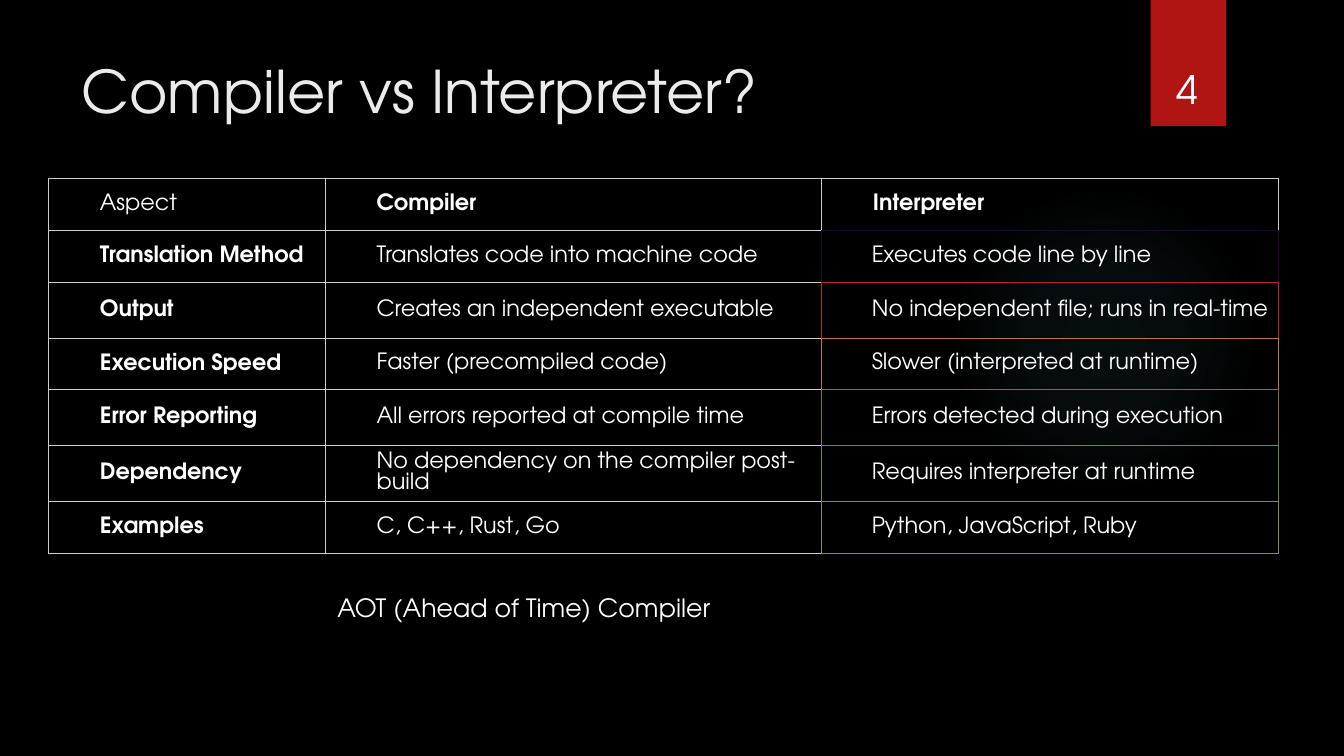
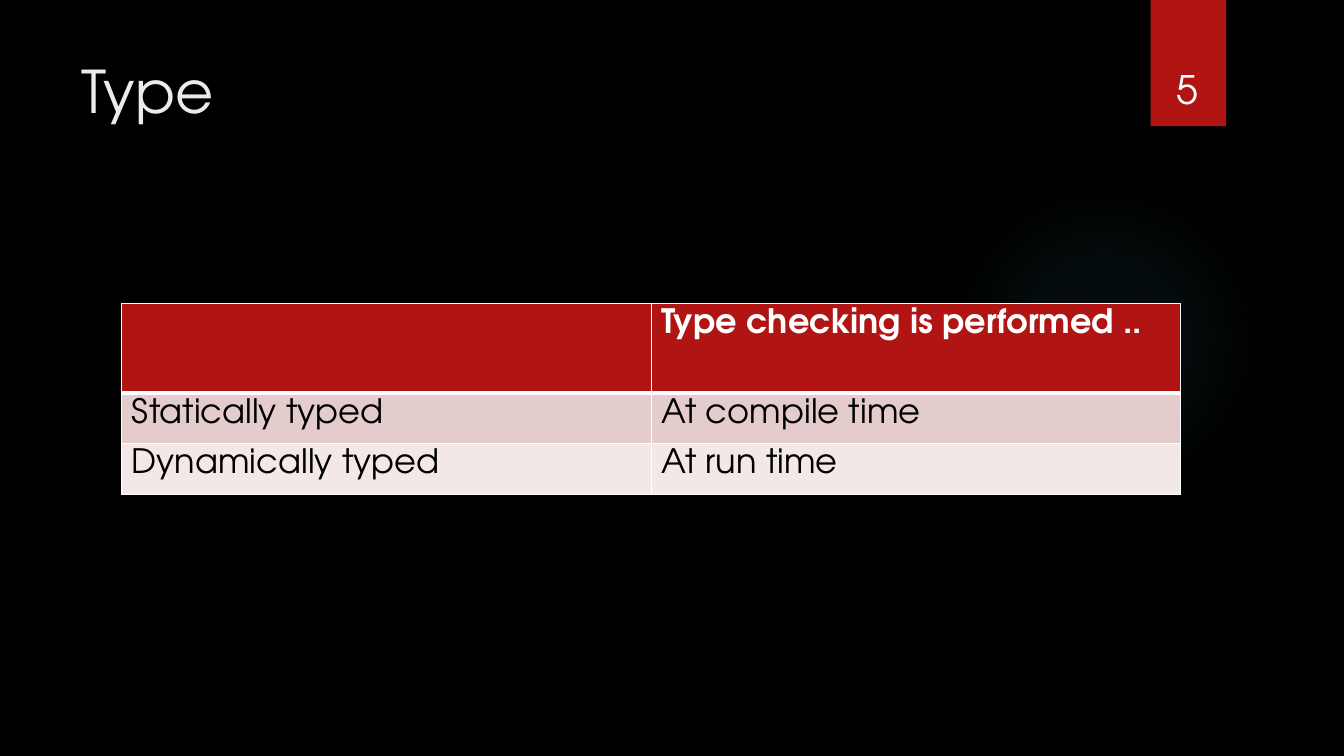
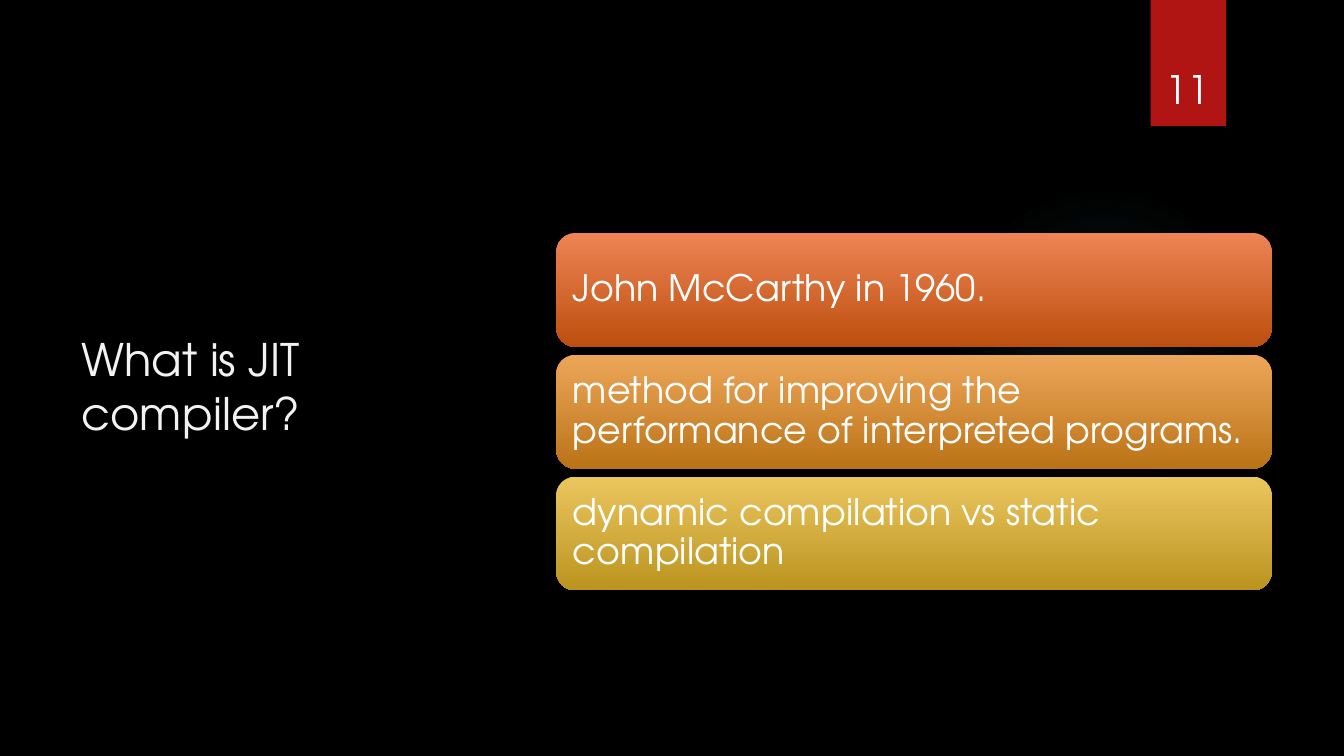
"""Build three dark slides on compilers, typing and JIT."""
from lxml import etree
from pptx import Presentation
from pptx.dml.color import RGBColor
from pptx.enum import shapes, text
from pptx.oxml import parse_xml
from pptx.util import Cm, Pt

FONT = "TeX Gyre Adventor"
RED, WHITE, BLACK, GREY = "B01513", "FFFFFF", "000000", "CCCCCC"
NS = "http://schemas.openxmlformats.org/drawingml/2006/main"
GLOW = f"""<a:gradFill xmlns:a="{NS}" rotWithShape="1"><a:gsLst>
<a:gs pos="0"><a:srgbClr val="50B9C1"><a:alpha val="7000"/></a:srgbClr></a:gs>
<a:gs pos="36000"><a:srgbClr val="50B9C1"><a:alpha val="6000"/></a:srgbClr></a:gs>
<a:gs pos="69000"><a:srgbClr val="50B9C1"><a:alpha val="0"/></a:srgbClr></a:gs>
</a:gsLst><a:path path="circle"><a:fillToRect l="50000" t="50000" r="50000" b="50000"/></a:path></a:gradFill>"""
hue = RGBColor.from_string


def write(frame, words, size, tint=WHITE, bold=False, align=text.PP_ALIGN.LEFT, lead=None):
    frame.text = words
    for par in frame.paragraphs:
        par.alignment = align
        par.line_spacing = lead
        for run in par.runs:
            run.font.name = FONT
            run.font.size = Pt(size)
            run.font.bold = bold
            run.font.color.rgb = hue(tint)


def frame_cell(cell, edges):
    props = cell._tc.get_or_add_tcPr()
    for side, (tint, width) in zip("LRTB", edges):
        line = etree.SubElement(props, f"{{{NS}}}ln{side}", w=str(Pt(width)))
        fill = etree.SubElement(line, f"{{{NS}}}solidFill")
        etree.SubElement(fill, f"{{{NS}}}srgbClr", val=tint)


deck = Presentation()
deck.slide_width, deck.slide_height = Cm(33.87), Cm(19.05)
back = deck.slide_master.background.fill
back.solid()
back.fore_color.rgb = hue(BLACK)

wide = (1.8, 1.25, 26.14, 3.89)
side = (1.8, 4, 8.64, 11.43)
top, mid = text.MSO_ANCHOR.TOP, text.MSO_ANCHOR.MIDDLE
heads = [
    ("Compiler vs Interpreter?", "4", wide, 42, "EBEBEB", top),
    ("Type", "5", wide, 42, "EBEBEB", top),
    ("What is JIT compiler?", "11", side, 32, "F2F2F2", mid),
]
slides = []
for words, number, box, size, tint, anchor in heads:
    slide = deck.slides.add_slide(deck.slide_layouts[5])
    slides.append(slide)
    title = slide.shapes.title
    title.left, title.top, title.width, title.height = map(Cm, box)
    title.text_frame.auto_size = text.MSO_AUTO_SIZE.NONE
    title.text_frame.word_wrap = True
    title.text_frame.vertical_anchor = anchor
    write(title.text_frame, words, size, tint)

    glow = slide.shapes.add_shape(shapes.MSO_SHAPE.OVAL, Cm(23.9), Cm(4.65), Cm(7.82), Cm(7.82))
    glow.shadow.inherit = False
    glow.line.fill.background()
    glow.fill.gradient()
    old = glow._element.spPr.find(f"{{{NS}}}gradFill")
    old.getparent().replace(old, parse_xml(GLOW))

    badge = slide.shapes.add_shape(shapes.MSO_SHAPE.RECTANGLE, Cm(29), 0, Cm(1.9), Cm(3.18))
    badge.shadow.inherit = False
    badge.line.fill.background()
    badge.fill.solid()
    badge.fill.fore_color.rgb = hue(RED)

    label = slide.shapes.add_textbox(Cm(28.75), Cm(0.83), Cm(2.34), Cm(2.13)).text_frame
    label.word_wrap = True
    label.vertical_anchor = text.MSO_ANCHOR.BOTTOM
    write(label, number, 28, align=text.PP_ALIGN.CENTER)

versus, typing, jit = slides

rows = [
    ("Aspect", "Compiler", "Interpreter"),
    ("Translation Method", "Translates code into machine code", "Executes code line by line"),
    ("Output", "Creates an independent executable", "No independent file; runs in real-time"),
    ("Execution Speed", "Faster (precompiled code)", "Slower (interpreted at runtime)"),
    ("Error Reporting", "All errors reported at compile time", "Errors detected during execution"),
    ("Dependency", "No dependency on the compiler post-build", "Requires interpreter at runtime"),
    ("Examples", "C, C++, Rust, Go", "Python, JavaScript, Ruby"),
]
tints = [GREY, "200532", "C02032", "C07832", "807331", "609031", "809230"]
tall = [1.31, 1.31, 1.4, 1.3, 1.4, 1.41, 1.31]
cols = [6.97, 12.51, 11.51]
grid = versus.shapes.add_table(7, 3, Cm(1.22), Cm(4.5), Cm(sum(cols)), Cm(sum(tall))).table
grid.first_row = grid.horz_banding = False
for col, width in zip(grid.columns, cols):
    col.width = Cm(width)
for r, row in enumerate(rows):
    grid.rows[r].height = Cm(tall[r])
    own, below = tints[r], tints[min(r + 1, 6)]
    edges = [(GREY,) * 4, (GREY, own, GREY, GREY), (own, own, own, below)]
    for c, words in enumerate(row):
        cell = grid.cell(r, c)
        cell.vertical_anchor = mid
        cell.margin_left = Cm(1.27 if r and c == 2 else 1.3)
        cell.margin_right = cell.margin_top = cell.margin_bottom = Cm(0.02)
        frame_cell(cell, [(tint, 0.75) for tint in edges[c]])
        cell.fill.background()
        write(cell.text_frame, words, 16, bold=(r == 0) != (c == 0))

note = versus.shapes.add_textbox(Cm(8.25), Cm(14.81), Cm(10.06), Cm(1.02)).text_frame
note.word_wrap = False
note.auto_size = text.MSO_AUTO_SIZE.SHAPE_TO_FIT_TEXT
write(note, "AOT (Ahead of Time) Compiler", 18)

rows = [
    (("", "Type checking is performed .."), 2.26, RED, WHITE),
    (("Statically typed", "At compile time"), 1.26, "E4CCCC", BLACK),
    (("Dynamically typed", "At run time"), 1.26, "F2E8E7", BLACK),
]
grid = typing.shapes.add_table(3, 2, Cm(3.07), Cm(7.65), Cm(26.68), Cm(4.78)).table
for r, (row, height, shade, tint) in enumerate(rows):
    grid.rows[r].height = Cm(height)
    for c, words in enumerate(row):
        cell = grid.cell(r, c)
        widths = (1, 1, 3 if r == 1 else 1, 3 if r == 0 else 1)
        frame_cell(cell, [(WHITE, width) for width in widths])
        cell.fill.solid()
        cell.fill.fore_color.rgb = hue(shade)
        write(cell.text_frame, words, 24, tint, bold=r == 0)

facts = [
    ("John McCarthy in 1960.", "EE8455", "BC4F0E"),
    ("method for improving the performance of interpreted programs.", "EDA659", "BB7317"),
    ("dynamic compilation vs static compilation", "EBC65F", "BB941F"),
]
for i, (words, light, dark) in enumerate(facts):
    tile = jit.shapes.add_shape(
        shapes.MSO_SHAPE.ROUNDED_RECTANGLE, Cm(14.02), Cm(5.87 + 3.07 * i), Cm(18.03), Cm(2.87))
    tile.shadow.inherit = False
    tile.line.fill.background()
    tile.fill.gradient()
    tile.fill.gradient_angle = 270
    for stop, tint in zip(tile.fill.gradient_stops, (light, dark)):
        stop.color.rgb = hue(tint)
    body = tile.text_frame
    body.word_wrap = True
    body.vertical_anchor = mid
    body.margin_left = body.margin_right = body.margin_top = body.margin_bottom = Cm(0.28)
    write(body, words, 26, lead=0.9)

deck.save("out.pptx")
